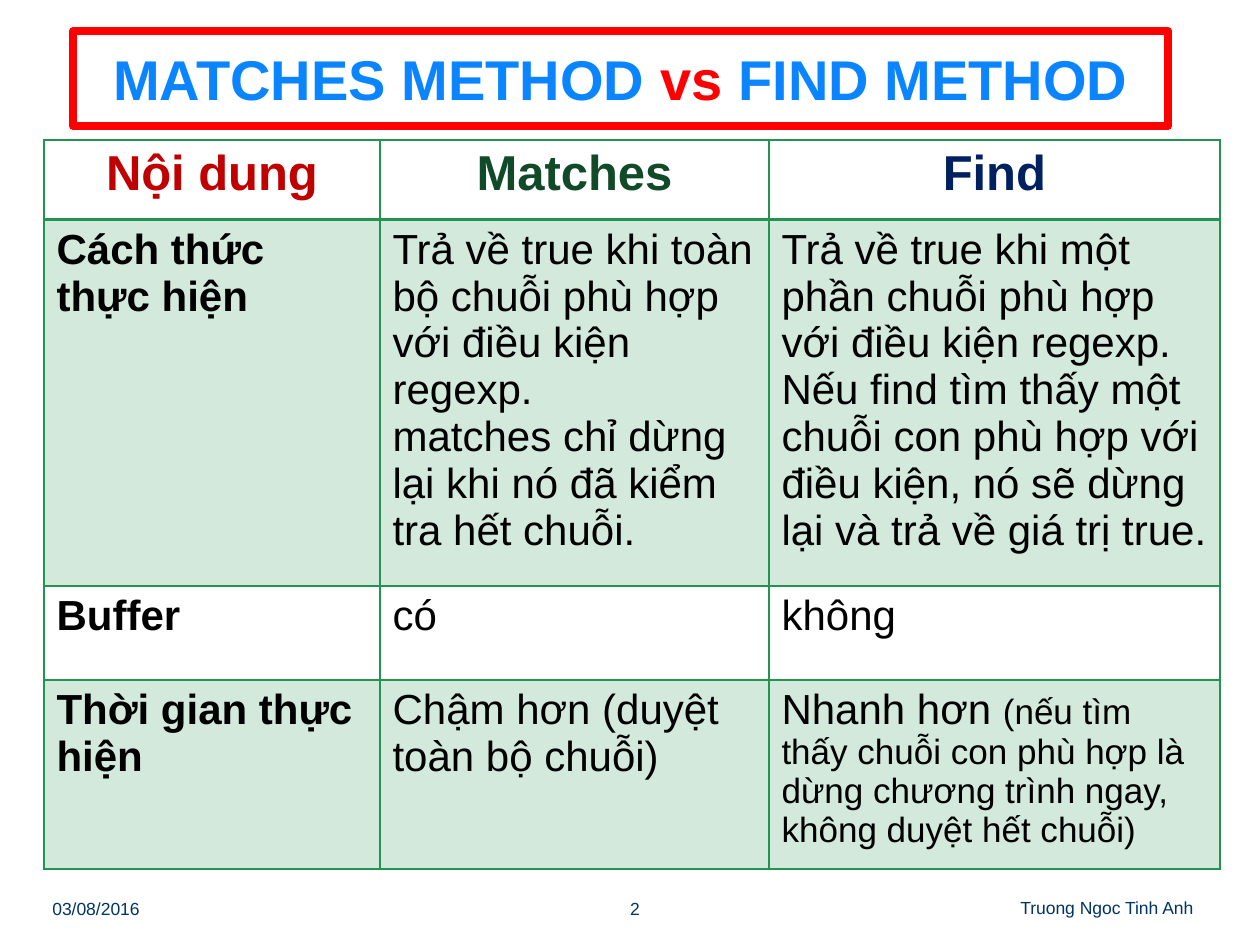
from lxml.etree import SubElement
from pptx import Presentation
from pptx.dml.color import RGBColor
from pptx.enum.text import MSO_ANCHOR, PP_ALIGN
from pptx.oxml.ns import qn
from pptx.util import Pt

PX = 914400 / 126
FONT = "Arial"
WHITE = RGBColor(0xFF, 0xFF, 0xFF)
BLACK = RGBColor(0x00, 0x00, 0x00)
RED = RGBColor(0xFF, 0x00, 0x00)
BLUE = RGBColor(0x0A, 0x85, 0xFF)
GREEN = RGBColor(0x22, 0x94, 0x50)
FOOTER_BLUE = RGBColor(0x00, 0x33, 0x66)
HEADER_COLORS = (
    RGBColor(0xC0, 0x00, 0x00),
    RGBColor(0x11, 0x4A, 0x28),
    RGBColor(0x00, 0x20, 0x60),
)

COLUMN_WIDTHS = (336, 389, 451)
ROW_HEIGHTS = (80, 366, 94, 189)
# Each cell is a list of paragraphs, each paragraph a list of (text, size).
HEADERS = ("Nội dung", "Matches", "Find")
BODY = (
    (
        [[("Cách thức thực hiện", 24)]],
        [
            [("Trả về true khi toàn bộ chuỗi phù hợp với điều kiện regexp.", 24)],
            [("matches chỉ dừng lại khi nó đã kiểm tra hết chuỗi.", 24)],
        ],
        [
            [("Trả về true khi một phần chuỗi phù hợp với điều kiện regexp.", 24)],
            [("Nếu find tìm thấy một chuỗi con phù hợp với điều kiện, "
              "nó sẽ dừng lại và trả về giá trị true.", 24)],
        ],
    ),
    ([[("Buffer", 24)]], [[("có", 24)]], [[("không", 24)]]),
    (
        [[("Thời gian thực hiện", 24)]],
        [[("Chậm hơn (duyệt toàn bộ chuỗi)", 24)]],
        [[("Nhanh hơn ", 24),
          ("(nếu tìm thấy chuỗi con phù hợp là dừng chương trình ngay, "
           "không duyệt hết chuỗi)", 20)]],
    ),
)


def emu(*lengths):
    return [round(length * PX) for length in lengths]


def style(font, size, color, bold=False):
    font.name, font.size, font.bold = FONT, Pt(size), bold
    font.color.rgb = color


def add_title(page, box):
    title = page.shapes.title
    title.left, title.top, title.width, title.height = emu(*box)
    title.fill.solid()
    title.fill.fore_color.rgb = WHITE
    title.line.color.rgb = RED
    title.line.width = Pt(4.5)
    SubElement(title.element.spPr.find(qn("a:ln")), qn("a:round"))
    frame = title.text_frame
    frame.word_wrap = True
    frame.vertical_anchor = MSO_ANCHOR.MIDDLE
    para = frame.paragraphs[0]
    para.alignment = PP_ALIGN.CENTER
    for text, color in (("MATCHES METHOD ", BLUE), ("vs", RED), (" FIND METHOD", BLUE)):
        span = para.add_run()
        span.text = text
        style(span.font, 32, color, bold=True)


def add_borders(cell, bottom_width):
    properties = cell._tc.get_or_add_tcPr()
    for side, width in (("lnL", 1), ("lnR", 1), ("lnT", 1), ("lnB", bottom_width)):
        line = SubElement(properties, qn(f"a:{side}"), w=str(Pt(width)))
        fill = SubElement(line, qn("a:solidFill"))
        SubElement(fill, qn("a:srgbClr"), val=str(GREEN))


def tint(cell):
    """Fill the cell with green at 20 % opacity."""
    cell.fill.solid()
    cell.fill.fore_color.rgb = GREEN
    color = cell._tc.tcPr.find(qn("a:solidFill")).find(qn("a:srgbClr"))
    SubElement(color, qn("a:alpha"), val="20000")


def write_cell(cell, paragraphs, color, bold, alignment):
    for index, spans in enumerate(paragraphs):
        frame = cell.text_frame
        para = frame.add_paragraph() if index else frame.paragraphs[0]
        para.alignment = alignment
        style(para.font, spans[0][1], color, bold)
        for text, size in spans:
            span = para.add_run()
            span.text = text
            style(span.font, size, color, bold)


def add_comparison(page, left, top):
    box = emu(left, top, sum(COLUMN_WIDTHS), sum(ROW_HEIGHTS))
    table = page.shapes.add_table(len(ROW_HEIGHTS), len(COLUMN_WIDTHS), *box).table
    table.horz_banding = False
    for column, width in zip(table.columns, emu(*COLUMN_WIDTHS)):
        column.width = width
    for row, height in zip(table.rows, emu(*ROW_HEIGHTS)):
        row.height = height

    header = tuple([[(text, 28)]] for text in HEADERS)
    for r, contents in enumerate((header, *BODY)):
        for c, paragraphs in enumerate(contents):
            cell = table.cell(r, c)
            add_borders(cell, bottom_width=1 if r else 2)
            if r % 2:
                tint(cell)
            else:
                cell.fill.background()
            color = BLACK if r else HEADER_COLORS[c]
            alignment = PP_ALIGN.LEFT if r else PP_ALIGN.CENTER
            write_cell(cell, paragraphs, color, r == 0 or c == 0, alignment)


def add_footer(page, text, box, alignment=PP_ALIGN.LEFT):
    frame = page.shapes.add_textbox(*emu(*box)).text_frame
    frame.word_wrap = True
    para = frame.paragraphs[0]
    para.text = text
    para.alignment = alignment
    style(para.font, 10, FOOTER_BLUE)


def main():
    deck = Presentation()
    deck.slide_width, deck.slide_height = emu(1260, 945)
    page = deck.slides.add_slide(deck.slide_layouts[5])
    add_title(page, (73, 31, 1095, 95))
    add_comparison(page, 44, 140)
    add_footer(page, "03/08/2016", (40, 892, 262, 37))
    add_footer(page, "2", (577, 892, 116, 37), PP_ALIGN.CENTER)
    add_footer(page, "Truong Ngoc Tinh Anh", (1008, 891, 242, 44))
    deck.save("out.pptx")


if __name__ == "__main__":
    main()
